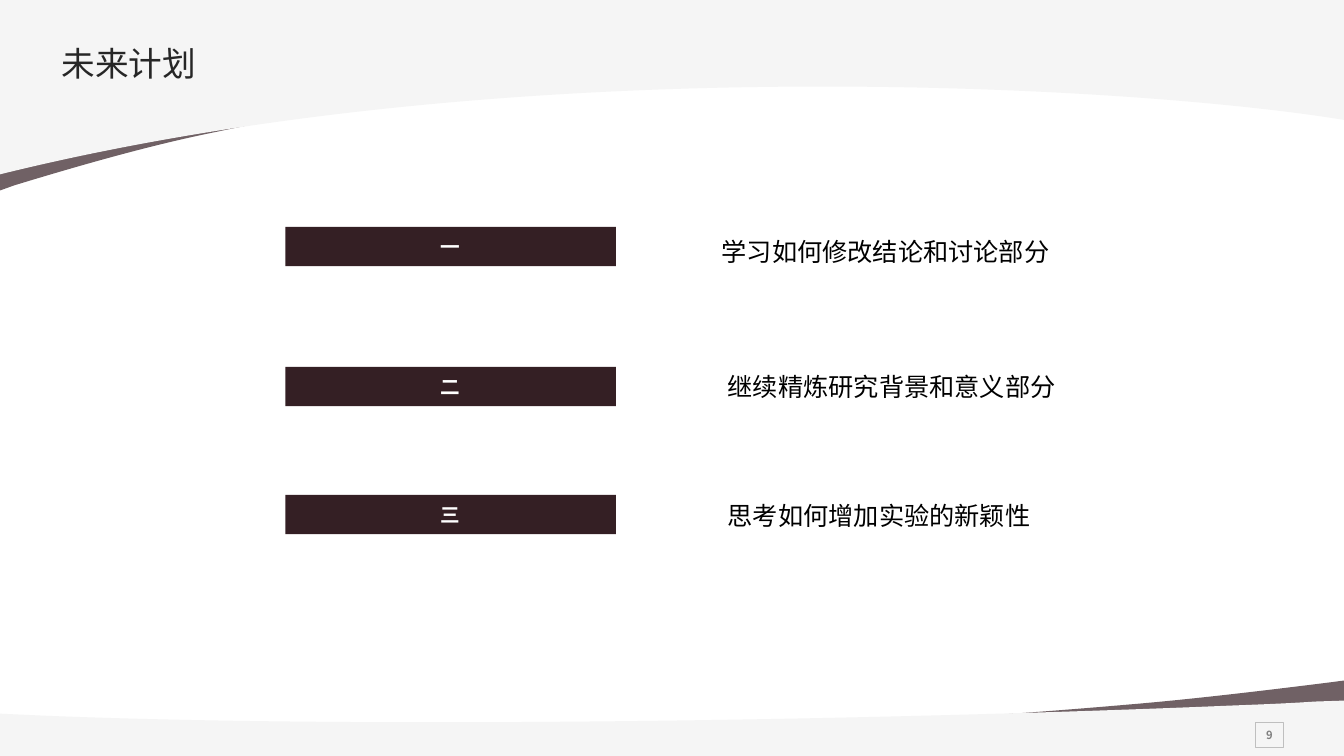
from lxml import etree
from pptx import Presentation
from pptx.dml.color import RGBColor
from pptx.enum.shapes import MSO_SHAPE
from pptx.enum.text import MSO_ANCHOR, MSO_AUTO_SIZE, PP_ALIGN
from pptx.oxml.ns import qn
from pptx.util import Inches, Pt

CJK = "Noto Sans CJK SC"
PLUM, PALE = "341F24", "F5F5F5"


def rgb(code):
    return RGBColor.from_string(code)


def write(sp, text, size, color, font=CJK, bold=False, align=PP_ALIGN.LEFT,
          anchor=MSO_ANCHOR.TOP, insets=(0.1, 0.05, 0.1, 0.05), spacing=1.0):
    tf = sp.text_frame
    tf.text = text
    tf.word_wrap = True
    tf.vertical_anchor = anchor
    tf.margin_left, tf.margin_top, tf.margin_right, tf.margin_bottom = map(Inches, insets)
    p = tf.paragraphs[0]
    p.alignment = align
    p.line_spacing = spacing
    r = p.runs[0]
    r.font.name = font
    r.font.size = Pt(size)
    r.font.bold = bold
    r.font.color.rgb = rgb(color)
    etree.SubElement(r.font._element, qn("a:ea")).set("typeface", CJK)


prs = Presentation()
prs.slide_width = Inches(13.33)
prs.slide_height = Inches(7.5)
s = prs.slides.add_slide(prs.slide_layouts[6])
s.background.fill.solid()
s.background.fill.fore_color.rgb = rgb("FFFFFF")

bands = [
    (PLUM, 70, [(0, 1.89), (0, 0.22), (13.34, 0.22), (13.34, 0.91), (13.33, 0.91),
                (10.32, 0.06, 5.14, 0.67, 2.14, 1.31),
                (1.54, 1.43, 0.86, 1.62, 0.14, 1.84)]),
    (PALE, 100, [(0, 0), (13.33, 0), (13.33, 1.19),
                 (11.4, 0.87, 5.17, 0.45, 0, 1.73)]),
    (PLUM, 70, [(13.34, 6.75), (13.34, 7.44), (0, 7.44), (0, 7.15), (0.01, 7.16),
                (3.01, 7.5, 8.2, 7.25, 11.19, 6.99),
                (11.79, 6.94, 12.47, 6.86, 13.19, 6.77)]),
    (PALE, 100, [(13.34, 6.95), (13.34, 7.17), (13.34, 7.19), (13.34, 7.5),
                 (0, 7.5), (0, 7.19), (0, 7.17), (0, 7.08), (0.44, 7.1),
                 (3.92, 7.24, 9.1, 7.13, 12.2, 7),
                 (12.46, 6.99, 12.75, 6.98, 13.04, 6.96)]),
]
for color, opacity, segments in bands:
    ends = [(Inches(seg[-2]), Inches(seg[-1])) for seg in segments]
    fb = s.shapes.build_freeform(*ends[0])
    fb.add_line_segments(ends[1:], close=True)
    sp = fb.convert_to_shape()
    sp.shadow.inherit = False
    sp.line.fill.background()
    sp.fill.solid()
    sp.fill.fore_color.rgb = rgb(color)
    if opacity < 100:
        clr = sp._element.spPr.find(qn("a:solidFill")).find(qn("a:srgbClr"))
        etree.SubElement(clr, qn("a:alpha")).set("val", str(opacity * 1000))
    outline = next(sp._element.iter(qn("a:path")))
    for step, seg in zip(list(outline), segments):
        if len(seg) == 6:
            curve = etree.Element(qn("a:cubicBezTo"))
            for x, y in zip(seg[::2], seg[1::2]):
                pt = etree.SubElement(curve, qn("a:pt"))
                pt.set("x", str(Inches(x) - sp.left))
                pt.set("y", str(Inches(y) - sp.top))
            outline.replace(step, curve)

sp = s.shapes.add_shape(MSO_SHAPE.RECTANGLE, Inches(12.45), Inches(7.17), Inches(0.28), Inches(0.25))
sp.shadow.inherit = False
sp.fill.background()
sp.line.color.rgb = rgb("BFBFBF")
sp.line.width = Pt(0.75)
write(sp, "9", 8, "808080", bold=True, align=PP_ALIGN.CENTER,
      anchor=MSO_ANCHOR.MIDDLE, insets=(0.08,) * 4)
sp.text_frame.word_wrap = False

sp = s.shapes.add_textbox(Inches(0.53), Inches(0.39), Inches(12), Inches(0.58))
write(sp, "未来计划", 24, "262626", insets=(0.08, 0.08, 0, 0.08), spacing=0.9)

plans = [
    ("一", 2.25, "学习如何修改结论和讨论部分", (7.06, 2.14, 4.1, 0.55), 1.5),
    ("二", 3.64, "继续精炼研究背景和意义部分", (7.12, 3.48, 4.04, 0.55), 1.5),
    ("三", 4.91, "思考如何增加实验的新颖性", (7.12, 4.91, 5, 0.4), 1.0),
]
for number, top, plan, box, spacing in plans:
    sp = s.shapes.add_shape(MSO_SHAPE.RECTANGLE, Inches(2.83), Inches(top), Inches(3.28), Inches(0.39))
    sp.shadow.inherit = False
    sp.fill.solid()
    sp.fill.fore_color.rgb = rgb(PLUM)
    sp.line.fill.background()
    write(sp, number, 14, "FFFFFF", bold=True, align=PP_ALIGN.CENTER,
          insets=(0.1, 0.08, 0.1, 0.08))
    sp.text_frame.auto_size = MSO_AUTO_SIZE.SHAPE_TO_FIT_TEXT

    sp = s.shapes.add_textbox(*map(Inches, box))
    write(sp, plan, 18, "000000", font="Calibri", spacing=spacing)
    sp.text_frame.auto_size = MSO_AUTO_SIZE.SHAPE_TO_FIT_TEXT

prs.save("out.pptx")
